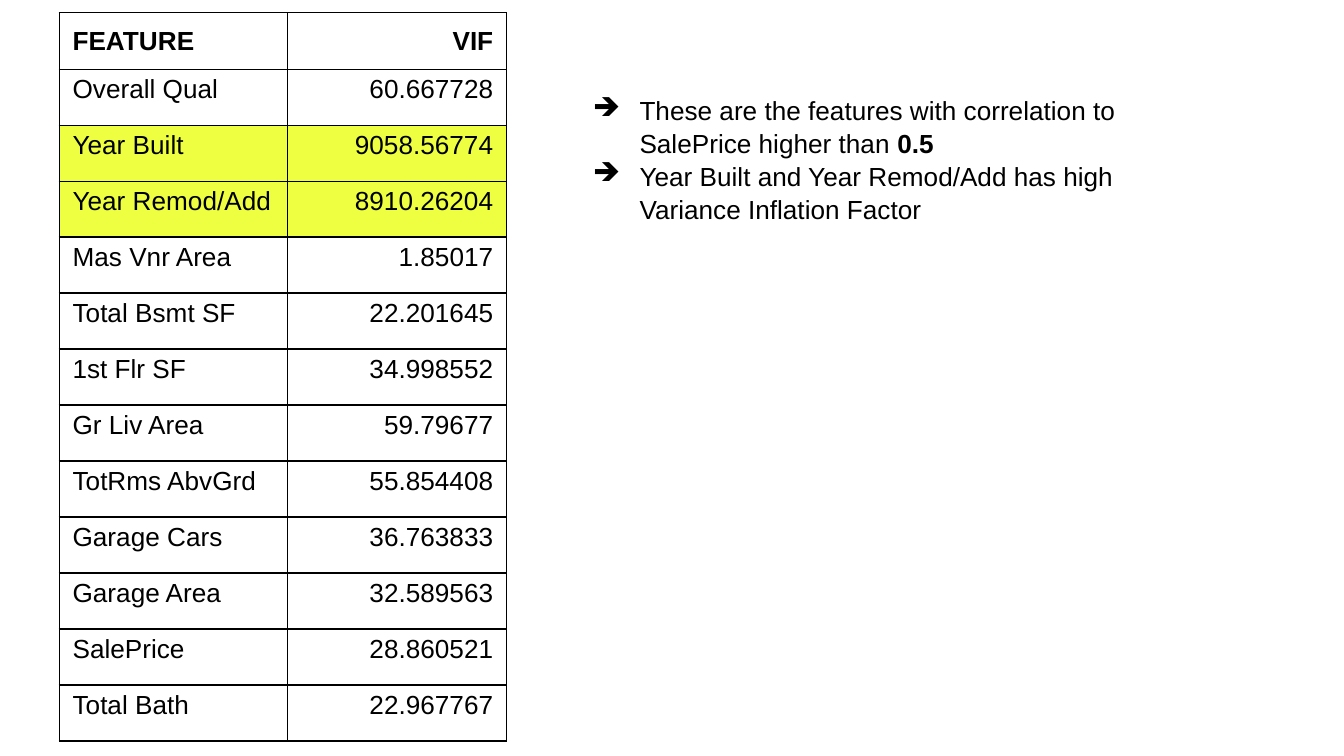
from dataclasses import dataclass

from lxml import etree
from pptx import Presentation
from pptx.dml.color import RGBColor
from pptx.enum.text import MSO_AUTO_SIZE, PP_ALIGN
from pptx.oxml.ns import qn
from pptx.util import Pt

LEFT, RIGHT = PP_ALIGN.LEFT, PP_ALIGN.RIGHT
GROW = MSO_AUTO_SIZE.SHAPE_TO_FIT_TEXT
BLANK_LAYOUT = 6


@dataclass(frozen=True)
class Theme:
    font: str = "Arial"
    size: float = 14
    ink: str = "000000"
    highlight: str = "EEFF41"
    border: float = 0.75


THEME = Theme()

HEADER = ("FEATURE", "VIF")
FEATURES = [
    ("Overall Qual", "60.667728"),
    ("Year Built", "9058.56774"),
    ("Year Remod/Add", "8910.26204"),
    ("Mas Vnr Area", "1.85017"),
    ("Total Bsmt SF", "22.201645"),
    ("1st Flr SF", "34.998552"),
    ("Gr Liv Area", "59.79677"),
    ("TotRms AbvGrd", "55.854408"),
    ("Garage Cars", "36.763833"),
    ("Garage Area", "32.589563"),
    ("SalePrice", "28.860521"),
    ("Total Bath", "22.967767"),
]
HIGH_VIF = {"Year Built", "Year Remod/Add"}
COLUMN_WIDTHS = (122.4, 117.4)
ROW_HEIGHT = 30

# Each finding is a list of (text, bold) runs
FINDINGS = [
    [("These are the features with correlation to SalePrice higher than ", False),
     ("0.5", True)],
    [("Year Built and Year Remod/Add has high Variance Inflation Factor", False)],
]


def set_font(paragraph, bold=None):
    font = paragraph.font
    font.name = THEME.font
    font.size = Pt(THEME.size)
    font.bold = bold
    font.color.rgb = RGBColor.from_string(THEME.ink)


def set_margins(holder, across, down):
    holder.margin_left = holder.margin_right = Pt(across)
    holder.margin_top = holder.margin_bottom = Pt(down)


def add_color(parent, tag):
    etree.SubElement(etree.SubElement(parent, qn(tag)), qn("a:srgbClr"), val=THEME.ink)


def add_borders(cell):
    properties = cell._tc.get_or_add_tcPr()
    for side in ("a:lnL", "a:lnR", "a:lnT", "a:lnB"):
        line = etree.SubElement(properties, qn(side), w=str(Pt(THEME.border)))
        add_color(line, "a:solidFill")


def add_arrow_bullet(paragraph):
    properties = paragraph._p.get_or_add_pPr()
    properties.set("marL", str(Pt(36)))
    properties.set("indent", str(Pt(-25)))
    add_color(properties, "a:buClr")
    etree.SubElement(properties, qn("a:buChar"), char="➔")


def fill_cell(cell, text, align, is_header, is_high):
    add_borders(cell)
    set_margins(cell, 7.2, 7.2 if is_header else 3)
    if is_high:
        cell.fill.solid()
        cell.fill.fore_color.rgb = RGBColor.from_string(THEME.highlight)
    else:
        cell.fill.background()
    cell.text = text
    paragraph = cell.text_frame.paragraphs[0]
    paragraph.alignment = align
    set_font(paragraph, bold=is_header)


def add_vif_table(slide, left, top):
    rows = [HEADER, *FEATURES]
    table = slide.shapes.add_table(
        len(rows), len(HEADER), Pt(left), Pt(top),
        Pt(sum(COLUMN_WIDTHS)), Pt(ROW_HEIGHT * len(rows))).table
    table.horz_banding = False
    for column, width in zip(table.columns, COLUMN_WIDTHS):
        column.width = Pt(width)
    for r, values in enumerate(rows):
        table.rows[r].height = Pt(ROW_HEIGHT)
        for c, (text, align) in enumerate(zip(values, (LEFT, RIGHT))):
            fill_cell(table.cell(r, c), text, align, r == 0, values[0] in HIGH_VIF)


def add_findings(slide, left, top, width, height):
    frame = slide.shapes.add_textbox(Pt(left), Pt(top), Pt(width), Pt(height)).text_frame
    frame.word_wrap = True
    frame.auto_size = GROW
    set_margins(frame, 7.2, 7.2)
    for i, finding in enumerate(FINDINGS):
        paragraph = frame.add_paragraph() if i else frame.paragraphs[0]
        paragraph.line_spacing = 1.05
        add_arrow_bullet(paragraph)
        set_font(paragraph)
        for text, bold in finding:
            run = paragraph.add_run()
            run.text = text
            run.font.bold = bold


def main():
    deck = Presentation()
    deck.slide_width, deck.slide_height = Pt(720), Pt(405)
    slide = deck.slides.add_slide(deck.slide_layouts[BLANK_LAYOUT])

    # Variance inflation factor of each feature
    add_vif_table(slide, 31.7, 6.9)

    # What the table shows
    add_findings(slide, 299.5, 42.5, 334, 82)

    deck.save("out.pptx")


if __name__ == "__main__":
    main()
